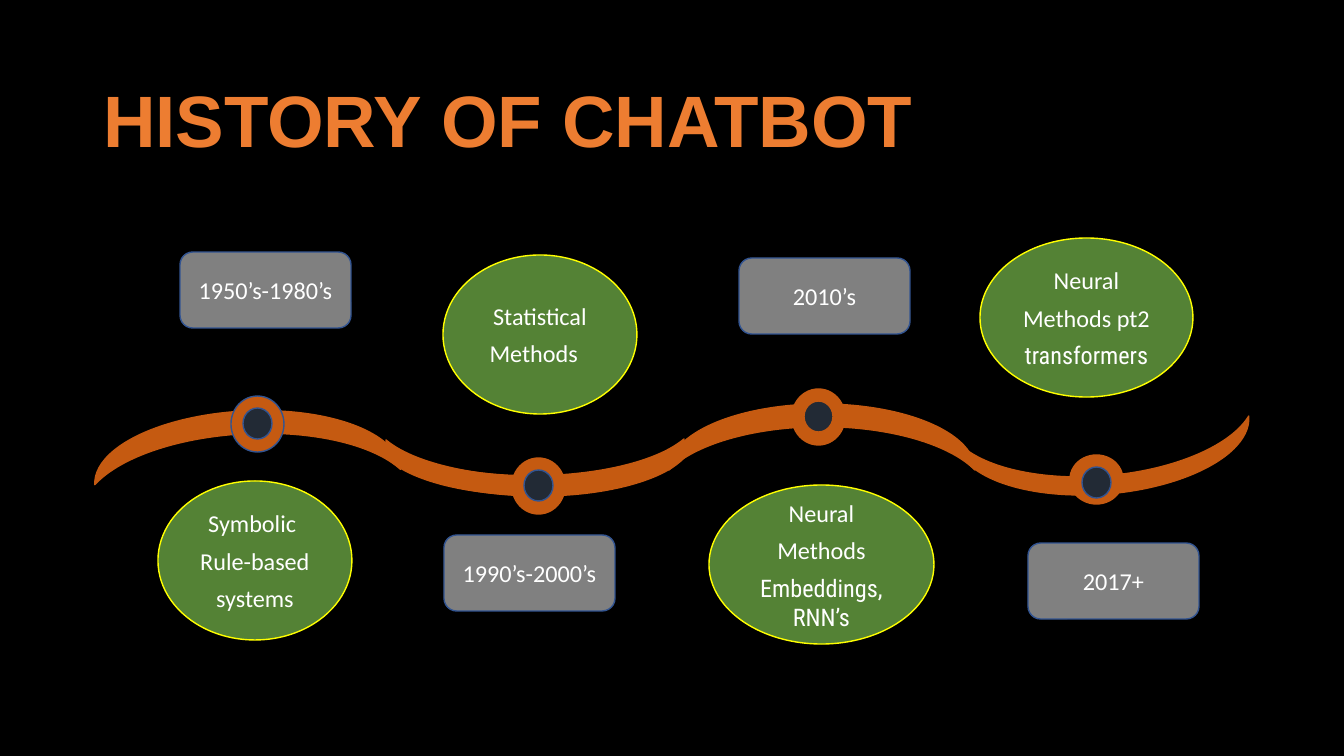
from dataclasses import dataclass
from typing import NamedTuple

from pptx import Presentation
from pptx.dml.color import RGBColor
from pptx.enum.shapes import MSO_SHAPE as Shape
from pptx.enum.text import MSO_ANCHOR as Anchor, PP_ALIGN as Align
from pptx.util import Pt

EMU_PER_PX = 914400 / 100.8


@dataclass(frozen=True)
class Theme:
    """Colours, fonts and type sizes of the slide."""
    background: str = "000000"
    title: str = "ED7D31"
    wave: str = "C55A11"
    bubble: str = "548235"
    bubble_line: str = "FFFF00"
    label: str = "808080"
    outline: str = "325491"
    core: str = "222A35"
    text: str = "FFFFFF"
    title_font: str = "Arial"
    body_font: str = "Calibri"
    detail_font: str = "Roboto Condensed"
    title_size: float = 52
    body_size: float = 17.3


THEME = Theme()


class Box(NamedTuple):
    """A rectangle in px."""
    left: int
    top: int
    width: int
    height: int


@dataclass(frozen=True)
class Milestone:
    """One period, with offsets inside its box."""
    box: Box
    era: str
    lines: tuple
    label_left: int
    ring_left: int
    ring_top: int
    bubble_width: int
    label_on_top: bool
    detail: str = ""
    ring_height: int = 56
    ring_line: str = THEME.wave
    core_line: str = THEME.outline


MILESTONES = (
    Milestone(Box(158, 252, 194, 388), "1950’s-1980’s", ("Symbolic ", "Rule-based", "systems"),
              22, 73, 144, 194, True, ring_line=THEME.outline),
    Milestone(Box(443, 255, 194, 356), "1990’s-2000’s", ("Statistical", "Methods\t"),
              1, 69, 203, 194, False),
    Milestone(Box(709, 258, 225, 386), "2010’s", ("Neural", "Methods"),
              30, 83, 131, 225, True, "Embeddings, RNN’s", core_line=THEME.wave),
    Milestone(Box(980, 238, 219, 381), "2017+", ("Neural", "Methods pt2"),
              48, 90, 217, 213, False, "transformers", ring_height=49),
)

WAVE_MOONS = (
    (Box(410, 30, 56, 306), 270, 0.343),
    (Box(120, 7, 66, 306), 87.1, 0.343),
    (Box(418, 31, 56, 306), 270, 0.343),
    (Box(696, 0, 66, 306), 90, 0.343),
    (Box(979, 30, 66, 294), 265.3, 0.275),
)


def px(length):
    """Turn px into EMU."""
    return round(length * EMU_PER_PX)


def add_text(paragraph, text, *, font=THEME.body_font, size=THEME.body_size, color=THEME.text,
             bold=False, align=Align.CENTER, space_after=6, line_spacing=1.0):
    """Write formatted text into a paragraph."""
    paragraph.alignment = align
    paragraph.space_after = Pt(space_after)
    paragraph.line_spacing = line_spacing
    run = paragraph.add_run()
    run.text = text
    run.font.name = font
    run.font.size = Pt(size)
    run.font.bold = bold
    run.font.color.rgb = RGBColor.from_string(color)


def add_figure(slide, kind, box, fill, line):
    """Draw a filled preset shape with a thin outline."""
    shape = slide.shapes.add_shape(kind, *map(px, box))
    shape.shadow.inherit = False
    shape.fill.solid()
    shape.fill.fore_color.rgb = RGBColor.from_string(fill)
    shape.line.color.rgb = RGBColor.from_string(line)
    shape.line.width = Pt(1)
    return shape


def fill_lines(shape, lines, detail=""):
    """Centre lines of text in a shape, with an optional condensed last line."""
    frame = shape.text_frame
    frame.word_wrap = True
    frame.vertical_anchor = Anchor.MIDDLE
    texts = [(line, THEME.body_font) for line in lines]
    if detail:
        texts.append((detail, THEME.detail_font))
    for index, (text, font) in enumerate(texts):
        paragraph = frame.add_paragraph() if index else frame.paragraphs[0]
        add_text(paragraph, text, font=font)


def add_title(slide, box, text):
    """Place and format the title placeholder."""
    title = slide.shapes.title
    title.left, title.top, title.width, title.height = map(px, box)
    title.text_frame.word_wrap = True
    title.text_frame.vertical_anchor = Anchor.MIDDLE
    add_text(title.text_frame.paragraphs[0], text, font=THEME.title_font, size=THEME.title_size,
             color=THEME.title, bold=True, align=Align.LEFT, space_after=0, line_spacing=0.9)


def add_wave(slide, box):
    """Draw the wavy timeline from rotated moons."""
    for moon_box, rotation, thickness in WAVE_MOONS:
        placed = Box(box.left + moon_box.left, box.top + moon_box.top,
                     moon_box.width, moon_box.height)
        moon = add_figure(slide, Shape.MOON, placed, THEME.wave, THEME.wave)
        moon.adjustments[0] = thickness
        moon.rotation = rotation


def add_milestone(slide, box, milestone):
    """Draw the bubble, era label and timeline marker of one period."""
    bubble_height, label_height = 159, 76
    bottom = box.top + box.height
    if milestone.label_on_top:
        label_top, bubble_top = box.top, bottom - bubble_height
    else:
        label_top, bubble_top = bottom - label_height, box.top
    bubble = add_figure(slide, Shape.OVAL,
                        Box(box.left, bubble_top, milestone.bubble_width, bubble_height),
                        THEME.bubble, THEME.bubble_line)
    fill_lines(bubble, milestone.lines, milestone.detail)
    label = add_figure(slide, Shape.ROUNDED_RECTANGLE,
                       Box(box.left + milestone.label_left, label_top, 171, label_height),
                       THEME.label, THEME.outline)
    fill_lines(label, [milestone.era])
    ring = Box(box.left + milestone.ring_left, box.top + milestone.ring_top,
               53, milestone.ring_height)
    add_figure(slide, Shape.OVAL, ring, THEME.wave, milestone.ring_line)
    add_figure(slide, Shape.OVAL, Box(ring.left + 12, ring.top + 12, 29, 31),
               THEME.core, milestone.core_line)


def main():
    """Build and save the timeline slide."""
    presentation = Presentation()
    presentation.slide_width, presentation.slide_height = px(1344), px(756)
    slide = presentation.slides.add_slide(presentation.slide_layouts[5])
    slide.background.fill.solid()
    slide.background.fill.fore_color.rgb = RGBColor.from_string(THEME.background)
    add_title(slide, Box(93, 61, 1159, 125), "HISTORY OF CHATBOT")
    add_wave(slide, Box(93, 284, 1156, 337))
    for milestone in MILESTONES:
        add_milestone(slide, milestone.box, milestone)
    presentation.save("out.pptx")


if __name__ == "__main__":
    main()
